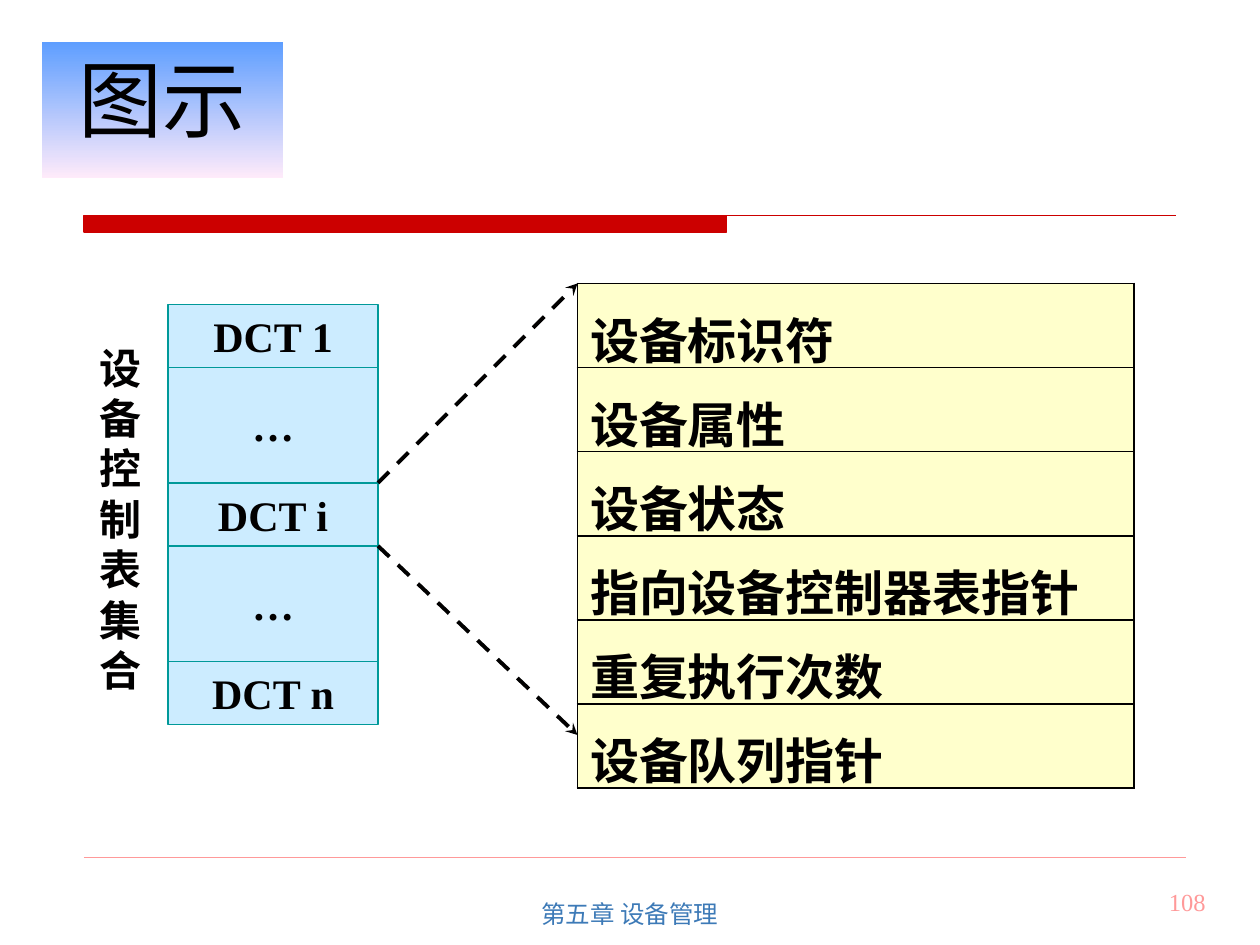
import dataclasses

import lxml.etree
import pptx
import pptx.dml.color
import pptx.enum.dml
import pptx.enum.shapes
import pptx.enum.text
import pptx.oxml
import pptx.oxml.ns
import pptx.util

SCALE = 7620
ALIGN = pptx.enum.text.PP_ALIGN
ANCHOR = pptx.enum.text.MSO_ANCHOR
RECT = pptx.enum.shapes.MSO_SHAPE.RECTANGLE


@dataclasses.dataclass(frozen=True)
class Theme:
    """Colours, fonts and type sizes of the slide."""
    ink: str = "010000"
    red: str = "CC0000"
    pink: str = "FF9999"
    blue: str = "3D7AB7"
    teal: str = "009999"
    sky: str = "CCECFF"
    cream: str = "FFFFCC"
    top: str = "5E9EFF"
    base: str = "FFEBFA"
    serif: str = "Times New Roman"
    sans: str = "Arial"
    narrow: str = "Arial Narrow"
    title: int = 48
    field: int = 28
    body: int = 24
    small: int = 14
    thin: float = 0.75
    edge: float = 1.08
    thick: float = 2.25


THEME = Theme()


def emu(px):
    """Turn px into EMU."""
    return pptx.util.Emu(px * SCALE)


def rgb(code):
    """Make a colour from its hex code."""
    return pptx.dml.color.RGBColor.from_string(code)


def write(frame, text, size, color, face=THEME.serif, bold=False, align=ALIGN.CENTER):
    """Put one styled paragraph in a text frame and return it."""
    para = frame.paragraphs[0]
    para.text = text
    para.alignment = align
    font = para.font
    font.name, font.size, font.bold = face, pptx.util.Pt(size), bold
    font.color.rgb = rgb(color)
    return para


def label(slide, box, anchor=ANCHOR.TOP):
    """Add a wrapping text box and return its frame."""
    frame = slide.shapes.add_textbox(*map(emu, box)).text_frame
    frame.word_wrap = True
    frame.vertical_anchor = anchor
    return frame


def block(slide, box, fill, line):
    """Add a filled and outlined rectangle."""
    shape = slide.shapes.add_shape(RECT, *map(emu, box))
    shape.shadow.inherit = False
    shape.fill.solid()
    shape.fill.fore_color.rgb = rgb(fill)
    shape.line.color.rgb = rgb(line)
    shape.line.width = pptx.util.Pt(THEME.thin)
    return shape


def rule(slide, start, end, color, width=THEME.thin):
    """Add a straight line without a shadow."""
    line = slide.shapes.add_connector(
        pptx.enum.shapes.MSO_CONNECTOR.STRAIGHT, *map(emu, start + end))
    line.line.color.rgb = rgb(color)
    line.line.width = pptx.util.Pt(width)
    lxml.etree.SubElement(line._element.spPr, pptx.oxml.ns.qn("a:effectLst"))
    return line


def arrow(slide, start, end):
    """Add a dashed line with a stealth head."""
    line = rule(slide, start, end, THEME.ink, THEME.thick).line
    line.dash_style = pptx.enum.dml.MSO_LINE.DASH
    tail = lxml.etree.SubElement(line._get_or_add_ln(), pptx.oxml.ns.qn("a:tailEnd"))
    tail.set("type", "stealth")


def border(cell):
    """Draw the four sides of a table cell."""
    props = cell._tc.get_or_add_tcPr()
    width = pptx.util.Pt(THEME.edge)
    for spot, side in enumerate(("lnL", "lnR", "lnT", "lnB")):
        props.insert(spot, pptx.oxml.parse_xml(
            f'<a:{side} {pptx.oxml.ns.nsdecls("a")} w="{width}"><a:solidFill>'
            f'<a:srgbClr val="{THEME.ink}"/></a:solidFill></a:{side}>'))


def header(slide, box, text):
    """Place the gradient title and the red rule below it."""
    left, top, width, height = box
    shape = block(slide, (left, top, 230, 130), THEME.top, THEME.top)
    shape.line.fill.background()
    shape.fill.gradient()
    shape.fill.gradient_angle = 270
    for stop, color in zip(shape.fill.gradient_stops, (THEME.top, THEME.base)):
        stop.color.rgb = rgb(color)
    shape.text_frame.vertical_anchor = ANCHOR.MIDDLE
    para = write(shape.text_frame, text, THEME.title, THEME.ink, THEME.narrow)
    para.line_spacing = 0.7
    low = top + height - 16
    rule(slide, (left + 40, low), (left + width, low), THEME.red)
    block(slide, (left + 40, low, 612, 16), THEME.red, THEME.red)


def stack(slide, box, name, items):
    """Place the named stack of blocks and return the middle block's box."""
    left, top, width, height = box
    frame = label(slide, (left, top + 30, 70, 348))
    write(frame, name, THEME.body, THEME.ink, bold=True)
    spots, y = [], top
    for item in items:
        tall = 110 if item == "…" else 60
        spot = (left + 80, y, width - 80, tall)
        frame = block(slide, spot, THEME.sky, THEME.teal).text_frame
        frame.word_wrap = False
        frame.vertical_anchor = ANCHOR.MIDDLE
        write(frame, item, THEME.body, THEME.ink, bold=True)
        spots.append(spot)
        y += tall
    return spots[len(spots) // 2]


def fields(slide, box, items):
    """Place the one-column table of fields."""
    table = slide.shapes.add_table(len(items), 1, *map(emu, box)).table
    table.first_row = table.horz_banding = False
    for row, item in zip(table.rows, items):
        row.height = emu(box[3] // len(items))
        cell = row.cells[0]
        cell.margin_top = emu(18)
        cell.fill.solid()
        cell.fill.fore_color.rgb = rgb(THEME.cream)
        border(cell)
        write(cell.text_frame, item, THEME.field, THEME.ink, bold=True, align=ALIGN.LEFT)


def footer(slide, box, text, page):
    """Place the bottom rule, the chapter and the page number."""
    left, top, width, _ = box
    rule(slide, (left, top), (left + 1050, top), THEME.pink)
    frame = label(slide, (left + 330, top + 23, 380, 60), ANCHOR.MIDDLE)
    write(frame, text, THEME.small, THEME.blue, THEME.sans)
    frame = label(slide, (left + width - 250, top + 22, 250, 60))
    write(frame, page, THEME.small, THEME.pink, align=ALIGN.RIGHT)


def main():
    """Build the slide and save it."""
    deck = pptx.Presentation()
    deck.slide_width, deck.slide_height = emu(1200), emu(900)
    slide = deck.slides.add_slide(deck.slide_layouts[6])
    header(slide, (40, 40, 1080, 181), "图示")
    left, top, width, height = stack(
        slide, (80, 290, 280, 400), "设备控制表集合",
        ("DCT 1", "…", "DCT i", "…", "DCT n"))
    area = (550, 270, 530, 432)
    fields(slide, area, (
        "设备标识符", "设备属性", "设备状态",
        "指向设备控制器表指针", "重复执行次数", "设备队列指针"))
    arrow(slide, (left + width, top), area[:2])
    arrow(slide, (left + width, top + height), (area[0], 700))
    footer(slide, (80, 817, 1080, 83), "第五章 设备管理", "108")
    deck.save("out.pptx")


if __name__ == "__main__":
    main()
